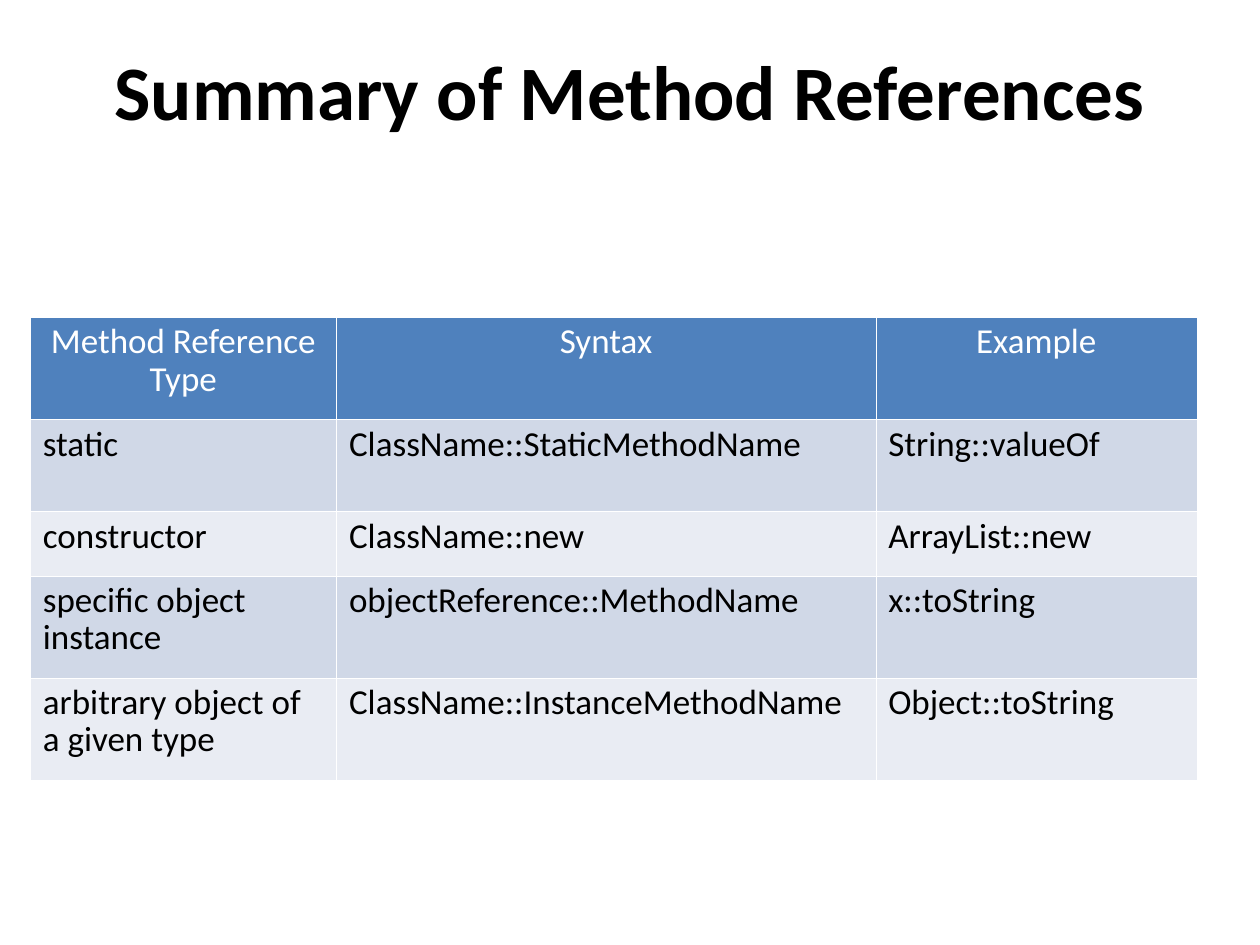
from typing import NamedTuple

from lxml import etree
from pptx import Presentation
from pptx import util as u
from pptx.dml.color import RGBColor
from pptx.enum import text
from pptx.oxml.ns import qn

FONT = "Calibri"
COLOURS = {
    "text": "000000",
    "header_text": "FFFFFF",
    "header": "4F81BD",
    "odd_row": "D0D8E7",
    "even_row": "E9ECF3",
    "border": "FFFFFF",
}
BORDER_WIDTH = u.Pt(0.06)


class MethodReference(NamedTuple):
    kind: str
    syntax: str
    example: str


HEADINGS = MethodReference("Method Reference Type", "Syntax", "Example")
REFERENCES = [
    MethodReference("static", "ClassName::StaticMethodName", "String::valueOf"),
    MethodReference("constructor", "ClassName::new", "ArrayList::new"),
    MethodReference("specific object instance", "objectReference::MethodName", "x::toString"),
    MethodReference("arbitrary object of a given type", "ClassName::InstanceMethodName",
                    "Object::toString"),
]
COLUMN_WIDTHS = [2.43, 4.28, 2.55]
ROW_HEIGHTS = [0.81, 0.73, 0.51, 0.81, 0.81]


def format_font(paragraph, size: float, colour: str, bold: bool = False) -> None:
    font = paragraph.runs[0].font
    font.name = FONT
    font.size = u.Pt(size)
    font.bold = bold
    font.color.rgb = RGBColor.from_string(COLOURS[colour])


def add_title(slide, title: str) -> None:
    shape = slide.shapes.add_textbox(u.Inches(0.5), u.Inches(0.3), u.Inches(9), u.Inches(1.25))
    shape.text_frame.word_wrap = True
    shape.text_frame.text = title
    paragraph = shape.text_frame.paragraphs[0]
    paragraph.alignment = text.PP_ALIGN.CENTER
    format_font(paragraph, 44, "text", bold=True)


def add_borders(cell) -> None:
    """Line all four sides; borders must come before the fill in the cell's XML."""
    properties = cell._tc.get_or_add_tcPr()
    for position, side in enumerate(("lnL", "lnR", "lnT", "lnB")):
        line = etree.Element(qn(f"a:{side}"), w=str(BORDER_WIDTH))
        fill = etree.SubElement(line, qn("a:solidFill"))
        etree.SubElement(fill, qn("a:srgbClr"), val=COLOURS["border"])
        properties.insert(position, line)


def fill_cell(cell, content: str, fill: str, is_header: bool) -> None:
    cell.fill.solid()
    cell.fill.fore_color.rgb = RGBColor.from_string(COLOURS[fill])
    add_borders(cell)
    cell.text_frame.text = content
    paragraph = cell.text_frame.paragraphs[0]
    paragraph.line_spacing = 0.88
    paragraph.alignment = text.PP_ALIGN.CENTER if is_header else text.PP_ALIGN.LEFT
    format_font(paragraph, 20, "header_text" if is_header else "text")


def add_reference_table(slide) -> None:
    rows = [HEADINGS, *REFERENCES]
    table = slide.shapes.add_table(
        len(rows), len(COLUMN_WIDTHS), u.Inches(0.24), u.Inches(2.52),
        u.Inches(sum(COLUMN_WIDTHS)), u.Inches(sum(ROW_HEIGHTS))).table
    for column, width in zip(table.columns, COLUMN_WIDTHS):
        column.width = u.Inches(width)
    for index, (row, height, reference) in enumerate(zip(table.rows, ROW_HEIGHTS, rows)):
        row.height = u.Inches(height)
        is_header = index == 0
        fill = "header" if is_header else "odd_row" if index % 2 else "even_row"
        for cell, content in zip(row.cells, reference):
            fill_cell(cell, content, fill, is_header)


def main() -> None:
    presentation = Presentation()
    presentation.slide_width = u.Inches(10)
    presentation.slide_height = u.Inches(7.5)
    slide = presentation.slides.add_slide(presentation.slide_layouts[6])
    add_title(slide, "Summary of Method References")
    add_reference_table(slide)
    presentation.save("out.pptx")


if __name__ == "__main__":
    main()
